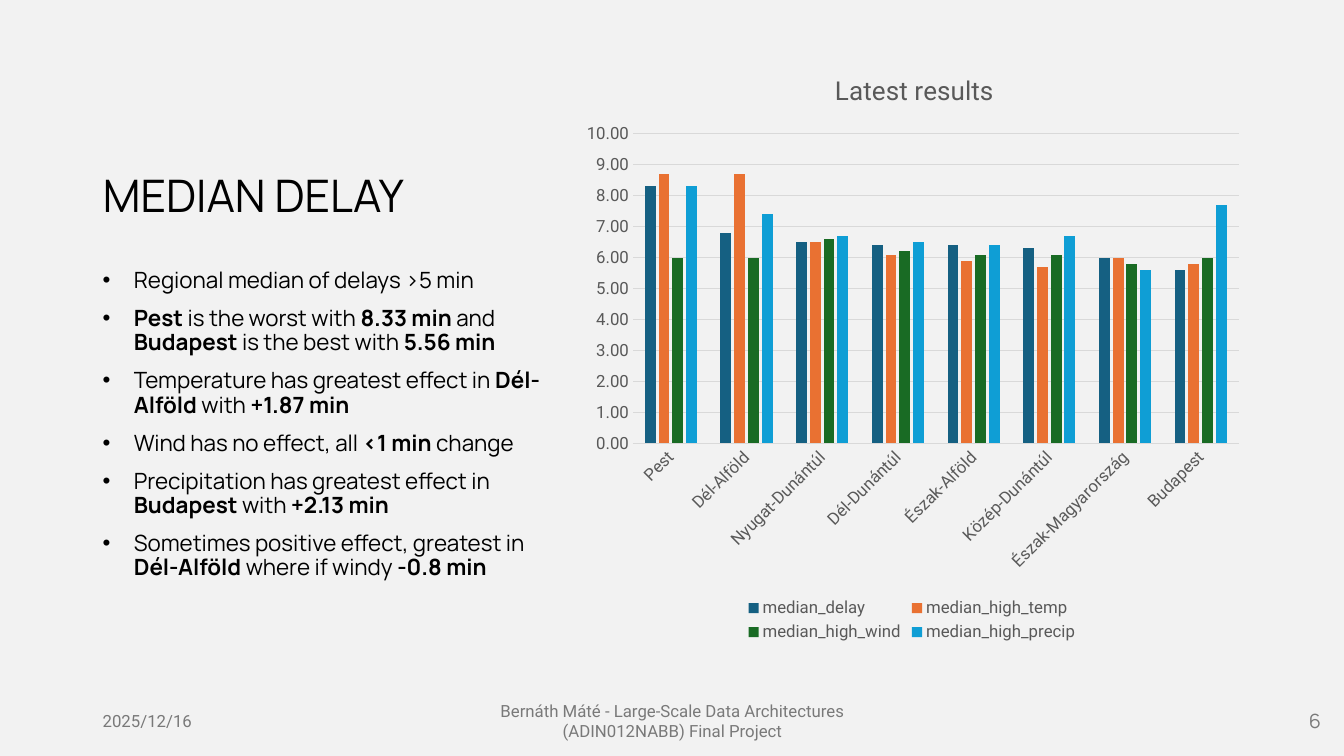
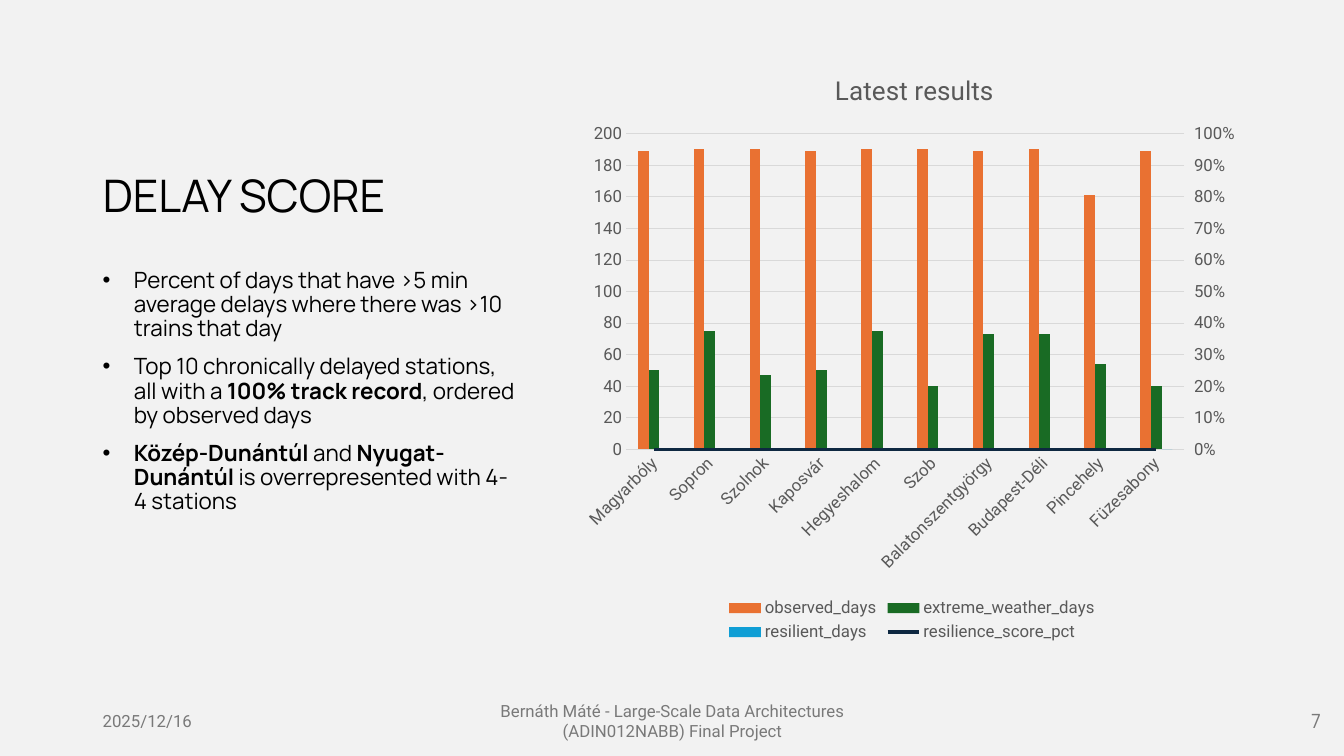
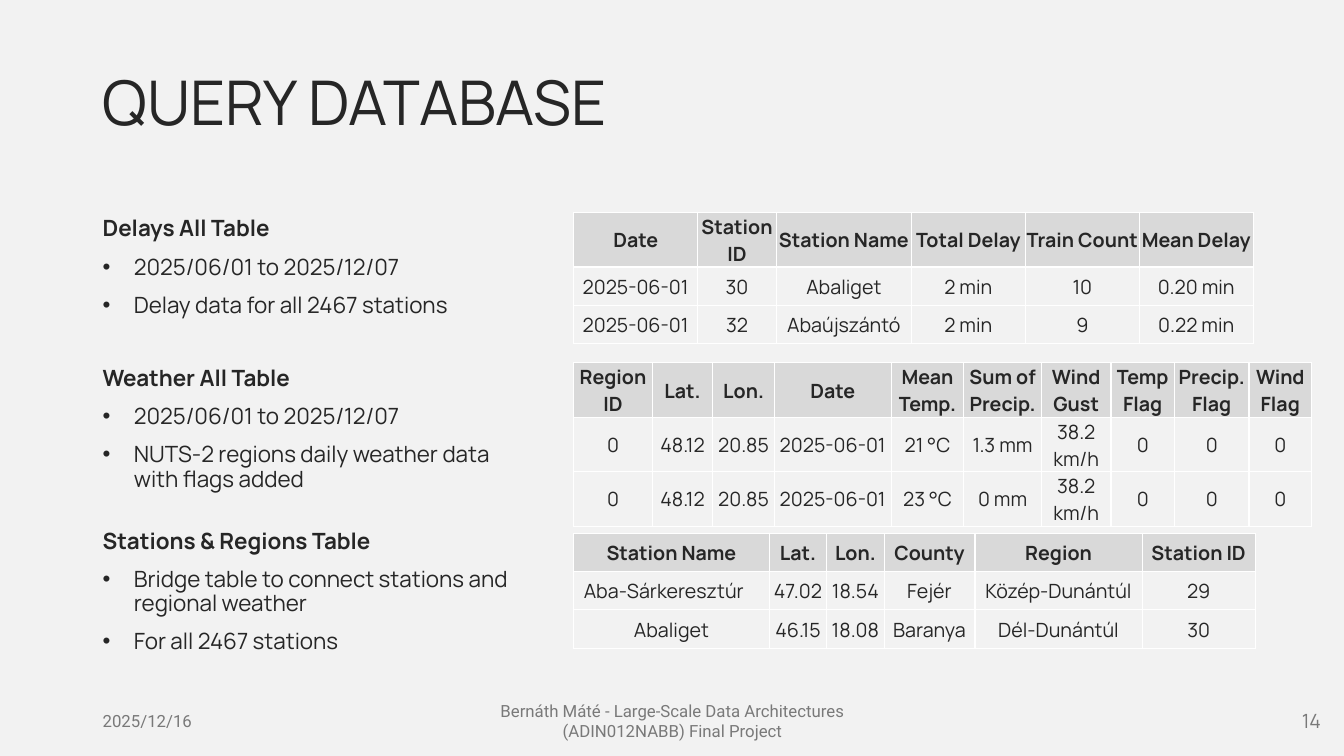
from itertools import cycle

from pptx import Presentation
from pptx.chart.axis import ValueAxis
from pptx.chart.data import CategoryChartData as ChartData
from pptx.dml.color import RGBColor
from pptx.enum.chart import XL_CHART_TYPE as Kind
from pptx.enum.chart import XL_LEGEND_POSITION as Legend
from pptx.enum.chart import XL_MARKER_STYLE as Marker
from pptx.enum.chart import XL_TICK_MARK as Tick
from pptx.enum.text import MSO_ANCHOR as Anchor
from pptx.enum.text import MSO_AUTO_SIZE as Auto
from pptx.enum.text import PP_ALIGN as Align
from pptx.oxml import parse_xml
from pptx.oxml.ns import nsdecls, qn
from pptx.util import Inches, Pt

# Shared look
PAPER = RGBColor(0xF2, 0xF2, 0xF2)
HEAD = RGBColor(0xD9, 0xD9, 0xD9)
BLACK = RGBColor(0, 0, 0)
INK = RGBColor(0x26, 0x26, 0x26)
GREY = RGBColor(0x79, 0x79, 0x79)
LABEL = RGBColor(0x59, 0x59, 0x59)
TEAL = RGBColor(0x15, 0x60, 0x82)
ORANGE = RGBColor(0xE9, 0x71, 0x32)
GREEN = RGBColor(0x19, 0x6B, 0x24)
BLUE = RGBColor(0x0F, 0x9E, 0xD5)
NAVY = RGBColor(0x0E, 0x28, 0x41)
SANS, ROBOTO = "Manrope", "Roboto"
LEFT = 0.92
ROW, TALL = 0.38, 0.54  # heights of one-line and two-line table rows
DATE = "2025/12/16"
FOOTER = "Bernáth Máté - Large-Scale Data Architectures (ADIN012NABB) Final Project"


def style(font, size, color, name=SANS, bold=None):
    font.size, font.name, font.bold = Pt(size), name, bold
    font.color.rgb = color


def add_box(slide, at, anchor=Anchor.TOP):
    box = slide.shapes.add_textbox(*map(Inches, at))
    frame = box.text_frame
    frame.word_wrap = True
    frame.vertical_anchor = anchor
    return frame


# Slide frame: title, date, footer and number
def add_slide(deck, text, number, at, size, color):
    slide = deck.slides.add_slide(deck.slide_layouts[5])
    title = slide.shapes.title
    title.left, title.top, title.width, title.height = map(Inches, at)
    frame = title.text_frame
    frame.text = text
    frame.auto_size = Auto.NONE
    frame.vertical_anchor = Anchor.BOTTOM
    para = frame.paragraphs[0]
    para.alignment, para.line_spacing = Align.LEFT, 0.9
    style(para.font, size, color)
    parts = [
        (DATE, LEFT, 3, Align.LEFT, 12, ROBOTO),
        (FOOTER, 4.42, 4.5, Align.CENTER, 12, ROBOTO),
        (str(number), 9.42, 3.78, Align.RIGHT, 14, SANS),
    ]
    for words, left, width, align, points, name in parts:
        para = add_box(slide, (left, 6.95, width, 0.4), Anchor.MIDDLE).paragraphs[0]
        para.text, para.alignment = words, align
        style(para.font, points, GREY, name)
    return slide


# Body text: asterisks enclose bold words
def add_para(frame, text, first, color, before=10, bullet=True):
    para = frame.paragraphs[0] if first else frame.add_paragraph()
    if bullet:
        props = para._p.get_or_add_pPr()
        props.set("marL", str(Inches(0.31)))
        props.set("indent", str(-Inches(0.31)))
        props.append(parse_xml(f'<a:buFont {nsdecls("a")} typeface="Arial"/>'))
        props.append(parse_xml(f'<a:buChar {nsdecls("a")} char="•"/>'))
    para.line_spacing = 0.9
    if not first:
        para.space_before = Pt(before)
    style(para.font, 16, color)
    for words, bold in zip(text.split("*"), cycle((False, True))):
        if words:
            run = para.add_run()
            run.text, run.font.bold = words, bold


def add_points(slide, width, points):
    frame = add_box(slide, (LEFT, 2.62, width, 3.79))
    for i, text in enumerate(points):
        add_para(frame, text, i == 0, BLACK)


# Charts
def set_layout(parent, index, x, y, size=None):
    for old in parent.findall(qn("c:layout")):
        parent.remove(old)
    values = [("xMode", "edge"), ("yMode", "edge"), ("x", x), ("y", y)]
    if size:
        values = [("layoutTarget", "inner"), *values, ("w", size[0]), ("h", size[1])]
    marks = "".join(f'<c:{tag} val="{val}"/>' for tag, val in values)
    parent.insert(index, parse_xml(
        f'<c:layout {nsdecls("c")}><c:manualLayout>{marks}</c:manualLayout></c:layout>'))


def set_axis(axis, top=None, step=None, fmt=None, tick=Tick.NONE):
    axis.major_tick_mark, axis.minor_tick_mark = tick, Tick.NONE
    style(axis.tick_labels.font, 12, LABEL, ROBOTO)
    if top:
        axis.minimum_scale, axis.maximum_scale, axis.major_unit = 0, top, step
        axis.tick_labels.number_format = fmt
        axis.tick_labels.number_format_is_linked = False
        axis.format.line.fill.background()


def add_chart(slide, cats, series, top, step, fmt, overlap, plot):
    data = ChartData(number_format="General")
    data.categories = cats
    for name, _, values in series:
        data.add_series(name, values)
    at = map(Inches, (5.67, 0.5, 6.75, 5.91))
    chart = slide.shapes.add_chart(Kind.COLUMN_CLUSTERED, *at, data).chart
    style(chart.font, 10, BLACK, ROBOTO)
    chart.has_title = True
    frame = chart.chart_title.text_frame
    frame.text = "Latest results"
    style(frame.paragraphs[0].font, 18.6, LABEL, ROBOTO, False)
    set_layout(chart.chart_title._element, 1, 0.38, 0.03)
    set_layout(chart._chartSpace.chart.plotArea, 0, *plot)
    chart.has_legend = True
    chart.legend.position = Legend.BOTTOM
    chart.legend.include_in_layout = False
    style(chart.legend.font, 12, LABEL, ROBOTO)
    set_axis(chart.category_axis)
    set_axis(chart.value_axis, top, step, fmt)
    turn = chart.category_axis._element.find(qn("c:txPr")).find(qn("a:bodyPr"))
    turn.set("rot", "-2700000")
    for line in (chart.category_axis.format.line,
                 chart.value_axis.major_gridlines.format.line):
        line.color.rgb, line.width = HEAD, Pt(0.75)
    bars = chart.plots[0]
    bars.gap_width, bars.overlap, bars.vary_by_categories = 219, overlap, False
    for item, (_, color, _) in zip(bars.series, series):
        item.format.fill.solid()
        item.format.fill.fore_color.rgb = color
        item.invert_if_negative = False
    return chart


def move_last(chart, color):
    """Draw the last series as a line on a percent axis at the right."""
    area = chart._chartSpace.chart.plotArea
    bars = area.find(qn("c:barChart"))
    item = bars.findall(qn("c:ser"))[-1]
    for tag in ("c:invertIfNegative", "c:spPr"):
        item.remove(item.find(qn(tag)))
    lines = parse_xml(
        f'<c:lineChart {nsdecls("c")}><c:grouping val="standard"/>'
        '<c:varyColors val="0"/><c:marker val="1"/>'
        '<c:axId val="501"/><c:axId val="502"/></c:lineChart>')
    lines.insert(2, item)
    bars.addnext(lines)

    def make_axis(tag, own, other, hide, side, cross):
        return parse_xml(
            f'<c:{tag} {nsdecls("c")}><c:axId val="{own}"/>'
            '<c:scaling><c:orientation val="minMax"/></c:scaling>'
            f'<c:delete val="{hide}"/><c:axPos val="{side}"/>'
            '<c:tickLblPos val="nextTo"/>'
            f'<c:crossAx val="{other}"/><c:crosses val="{cross}"/></c:{tag}>')

    right = make_axis("valAx", 502, 501, 0, "r", "max")
    area.find(qn("c:valAx")).addnext(right)
    right.addnext(make_axis("catAx", 501, 502, 1, "b", "autoZero"))
    set_axis(ValueAxis(right), 1, 0.1, "0%", Tick.OUTSIDE)
    score = chart.plots[1].series[0]
    score.smooth = False
    score.marker.style = Marker.NONE
    score.format.line.color.rgb, score.format.line.width = color, Pt(2.25)


# Tables
def set_border(cell):
    props = cell._tc.get_or_add_tcPr()
    for i, side in enumerate("LRTB"):
        props.insert(i, parse_xml(
            f'<a:ln{side} {nsdecls("a")} w="{Pt(1)}"><a:solidFill>'
            f'<a:srgbClr val="FFFFFF"/></a:solidFill></a:ln{side}>'))


def add_table(slide, top, widths, heights, rows, loose=None):
    at = map(Inches, (5.69, top, sum(widths), sum(heights)))
    table = slide.shapes.add_table(len(rows), len(widths), *at).table
    table.first_row = table.horz_banding = False
    for col, width in zip(table.columns, widths):
        col.width = Inches(width)
    for r, (row, height) in enumerate(zip(rows, heights)):
        table.rows[r].height = Inches(height)
        for c, text in enumerate(row):
            cell = table.cell(r, c)
            cell.text = text
            cell.vertical_anchor = Anchor.MIDDLE
            cell.fill.solid()
            cell.fill.fore_color.rgb = PAPER if r else HEAD
            set_border(cell)
            para = cell.text_frame.paragraphs[0]
            style(para.font, 14, INK, bold=r == 0)
            if (r, c) != loose:
                para.alignment = Align.CENTER
                cell.margin_left = cell.margin_right = cell.margin_top = Inches(0.01)
                cell.margin_bottom = 0


# Slides
def median_slide(deck):
    slide = add_slide(deck, "MEDIAN DELAY", 6, (LEFT, 0.5, 4.3, 1.75), 32, BLACK)
    cats = ["Pest", "Dél-Alföld", "Nyugat-Dunántúl", "Dél-Dunántúl", "Észak-Alföld",
            "Közép-Dunántúl", "Észak-Magyarország", "Budapest"]
    series = [
        ("median_delay", TEAL, (8.3, 6.8, 6.5, 6.4, 6.4, 6.3, 6, 5.6)),
        ("median_high_temp", ORANGE, (8.7, 8.7, 6.5, 6.1, 5.9, 5.7, 6, 5.8)),
        ("median_high_wind", GREEN, (6, 6, 6.6, 6.2, 6.1, 6.1, 5.8, 6)),
        ("median_high_precip", BLUE, (8.3, 7.4, 6.7, 6.5, 6.4, 6.7, 5.6, 7.7)),
    ]
    add_chart(slide, cats, series, 10, 1, "0.00", -27, (0.09, 0.14, (0.89, 0.52)))
    add_points(slide, 4.64, [
        "Regional median of delays >5 min",
        "*Pest* is the worst with *8.33 min *and* Budapest* is the best with *5.56 min*",
        "Temperature has greatest effect in *Dél-Alföld* with *+1.87 min*",
        "Wind has no effect, all *<1 min *change",
        "Precipitation has greatest effect in *Budapest* with *+2.13 min*",
        "Sometimes positive effect, greatest in *Dél-Alföld *where if windy *-0.8 min*",
    ])


def score_slide(deck):
    slide = add_slide(deck, "DELAY SCORE", 7, (LEFT, 0.5, 4.3, 1.75), 32, BLACK)
    cats = ["Magyarbóly", "Sopron", "Szolnok", "Kaposvár", "Hegyeshalom", "Szob",
            "Balatonszentgyörgy", "Budapest-Déli", "Pincehely", "Füzesabony"]
    zeros = [0] * len(cats)
    series = [
        ("observed_days", ORANGE, (189, 190, 190, 189, 190, 190, 189, 190, 161, 189)),
        ("extreme_weather_days", GREEN, (50, 75, 47, 50, 75, 40, 73, 73, 54, 40)),
        ("resilient_days", BLUE, zeros),
        ("resilience_score_pct", NAVY, zeros),
    ]
    chart = add_chart(slide, cats, series, 200, 20, "0", 0, (0.08, 0.14, (0.82, 0.53)))
    move_last(chart, NAVY)
    add_points(slide, 4.3, [
        "Percent of days that have >5 min average delays where there was >10 trains that day",
        "Top 10 chronically delayed stations, all with a *100% track record*, "
        "ordered by observed days",
        "*Közép-Dunántúl* and *Nyugat-Dunántúl* is overrepresented with 4-4 stations",
    ])


def tables_slide(deck):
    slide = add_slide(deck, "QUERY DATABASE", 14, (LEFT, 0.5, 7.17, 0.93), 44, INK)
    groups = [
        ("Delays All Table", 0,
         ["2025/06/01 to 2025/12/07", "Delay data for all 2467 stations"]),
        ("Weather All Table", 35,
         ["2025/06/01 to 2025/12/07", "NUTS-2 regions daily weather data with flags added"]),
        ("Stations & Regions Table", 27,
         ["Bridge table to connect stations and regional weather",
          "For all 2467 stations"]),
    ]
    frame = add_box(slide, (LEFT, 2.11, 4.3, 4.39))
    for i, (name, gap, points) in enumerate(groups):
        add_para(frame, f"*{name}*", i == 0, INK, gap, bullet=False)
        for text in points:
            add_para(frame, text, False, INK)
    day = "2025-06-01"
    add_table(slide, 2.11, [1.23, 0.78, 1.34, 1.13, 1.13, 1.13], [TALL, ROW, ROW], [
        ["Date", "Station ID", "Station Name", "Total Delay", "Train Count", "Mean Delay"],
        [day, "30", "Abaliget", "2 min", "10", "0.20 min"],
        [day, "32", "Abaújszántó", "2 min", "9", "0.22 min"],
    ])
    widths = [0.78, 0.6, 0.61, 1.16, 0.72, 0.77, 0.69, 0.63, 0.74, 0.62]
    add_table(slide, 3.6, widths, [TALL] * 3, [
        ["Region ID", "Lat.", "Lon.", "Date", "Mean Temp.", "Sum of Precip.",
         "Wind Gust", "Temp Flag", "Precip. Flag", "Wind Flag"],
        *(["0", "48.12", "20.85", day, temp, rain, "38.2 km/h", "0", "0", "0"]
          for temp, rain in (("21 °C", "1.3 mm"), ("23 °C", "0 mm"))),
    ])
    add_table(slide, 5.29, [1.94, 0.57, 0.57, 0.9, 1.66, 1.12], [ROW] * 3, [
        ["Station Name", "Lat.", "Lon.", "County", "Region", "Station ID"],
        ["Aba-Sárkeresztúr", "47.02", "18.54", "Fejér", "Közép-Dunántúl", "29"],
        ["Abaliget", "46.15", "18.08", "Baranya", "Dél-Dunántúl", "30"],
    ], loose=(1, 0))


def main():
    deck = Presentation()
    deck.slide_width, deck.slide_height = Inches(13.33), Inches(7.5)
    fill = deck.slide_master.background.fill
    fill.solid()
    fill.fore_color.rgb = PAPER
    median_slide(deck)
    score_slide(deck)
    tables_slide(deck)
    deck.save("out.pptx")


if __name__ == "__main__":
    main()
